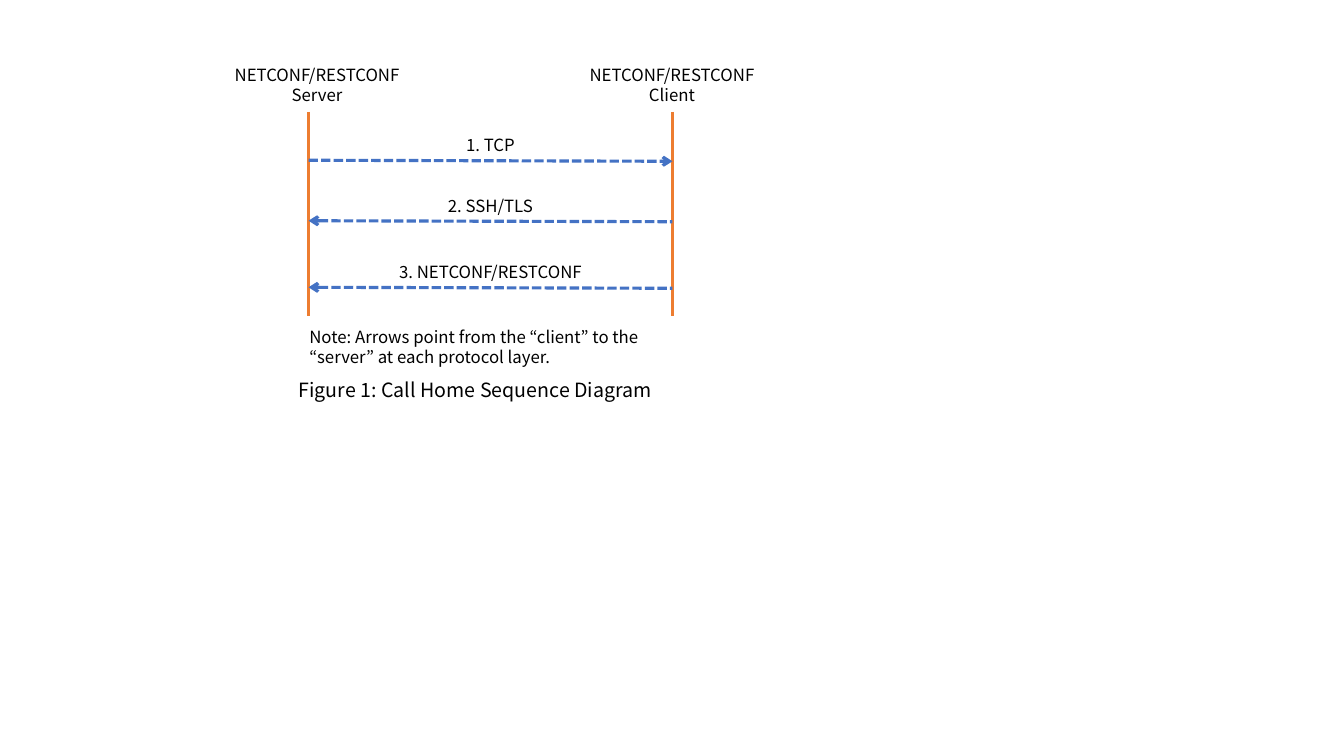
"""Builds the Call Home sequence diagram slide."""
from dataclasses import dataclass

from lxml.etree import SubElement
from pptx import Presentation
from pptx.dml.color import RGBColor as RGB
from pptx.enum.dml import MSO_LINE_DASH_STYLE as Dash
from pptx.enum.shapes import MSO_CONNECTOR as Connector
from pptx.enum.text import MSO_AUTO_SIZE as AutoSize, PP_ALIGN as Align
from pptx.oxml.ns import qn
from pptx.util import Inches, Pt

PARTICIPANTS = [
    ("NETCONF/RESTCONF\nServer", 1.79, 3.06),
    ("NETCONF/RESTCONF\nClient", 5.31, 6.67),
]
MESSAGES = [
    ("1. TCP", 1.59, "tailEnd"),
    ("2. SSH/TLS", 2.19, "headEnd"),
    ("3. NETCONF/RESTCONF", 2.85, "headEnd"),
]
NOTE = "Note: Arrows point from the “client” to the “server” at each protocol layer."
CAPTION = "Figure 1: Call Home Sequence Diagram"

LIFELINE_TOP, LIFELINE_BOTTOM = 1.11, 3.14
LABEL_HEIGHT, LABEL_INSET, ARROW_DROP = 0.3, 0.09, 0.01


@dataclass(frozen=True)
class Theme:
    font: str = "Noto Sans CJK KR"
    text: RGB = RGB(0, 0, 0)
    lifeline: RGB = RGB(0xED, 0x7D, 0x31)
    arrow: RGB = RGB(0x44, 0x72, 0xC4)
    body_size: float = 12
    caption_size: float = 14
    line_width: float = 2.25


THEME = Theme()


def add_text(slide, wording, box, size=THEME.body_size, align=Align.CENTER):
    frame = slide.shapes.add_textbox(*map(Inches, box)).text_frame
    frame.word_wrap = True
    frame.auto_size = AutoSize.SHAPE_TO_FIT_TEXT
    frame.text = wording
    for paragraph in frame.paragraphs:
        paragraph.alignment = align
        for run in paragraph.runs:
            run.font.name = THEME.font
            run.font.size = Pt(size)
            run.font.color.rgb = THEME.text


def add_line(slide, start, end, color):
    connector = slide.shapes.add_connector(
        Connector.STRAIGHT, *map(Inches, (*start, *end)))
    connector.line.color.rgb = color
    connector.line.width = Pt(THEME.line_width)
    SubElement(connector._element.spPr, qn("a:effectLst"))
    return connector


def add_message(slide, wording, y, arrow_end, left, right):
    arrow = add_line(slide, (left, y), (right, y + ARROW_DROP), THEME.arrow)
    arrow.line.dash_style = Dash.SQUARE_DOT
    SubElement(arrow.get_or_add_ln(), qn(f"a:{arrow_end}"), type="arrow")
    label_width = right - left - 2 * LABEL_INSET
    add_text(slide, wording,
             (left + LABEL_INSET, y - LABEL_HEIGHT, label_width, LABEL_HEIGHT))


def main():
    deck = Presentation()
    deck.slide_width, deck.slide_height = Inches(13.33), Inches(7.5)
    slide = deck.slides.add_slide(deck.slide_layouts[6])

    for title, title_left, x in PARTICIPANTS:
        add_line(slide, (x, LIFELINE_TOP), (x, LIFELINE_BOTTOM), THEME.lifeline)
        add_text(slide, title, (title_left, 0.59, 2.71, 0.5))

    server_x, client_x = (x for _, _, x in PARTICIPANTS)
    for wording, y, arrow_end in MESSAGES:
        add_message(slide, wording, y, arrow_end, server_x, client_x)

    add_text(slide, NOTE, (2.97, 3.19, 3.77, 0.5), align=Align.LEFT)
    add_text(slide, CAPTION, (1.99, 3.7, 5.45, 0.34), THEME.caption_size)
    deck.save("out.pptx")


if __name__ == "__main__":
    main()
